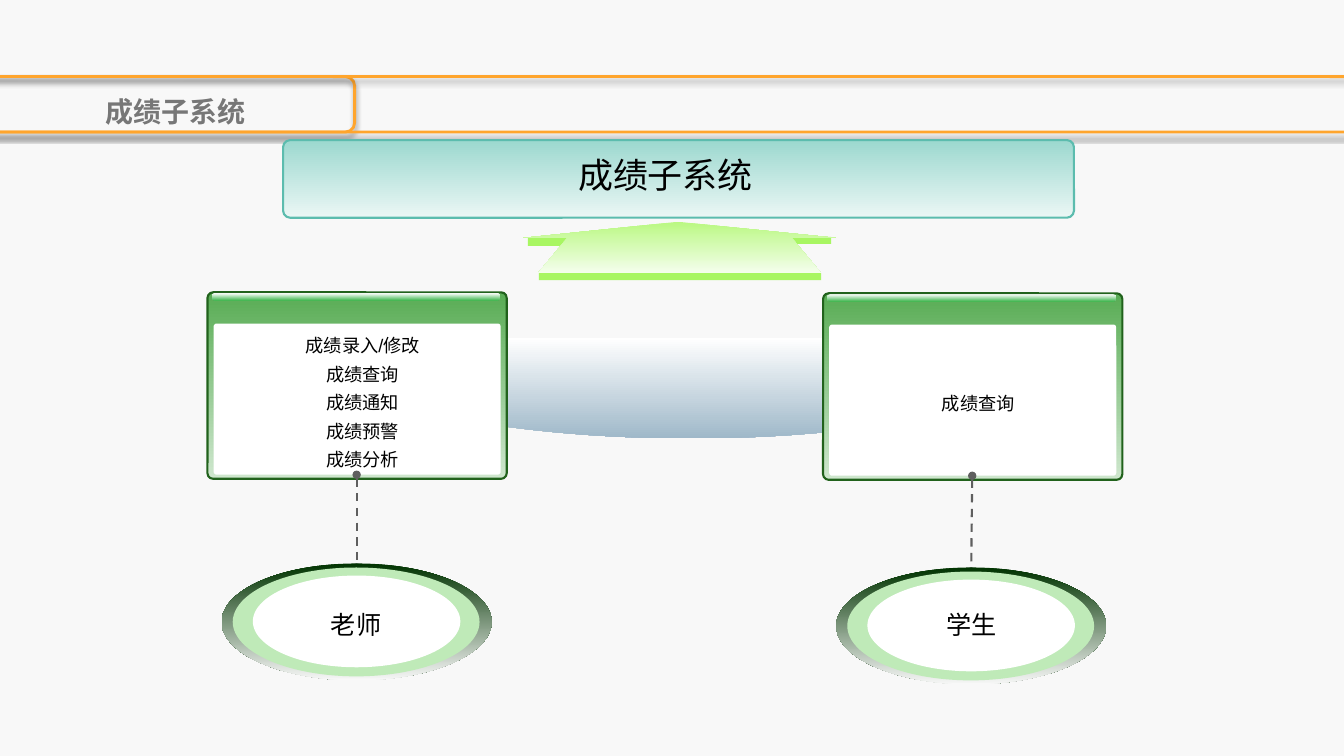
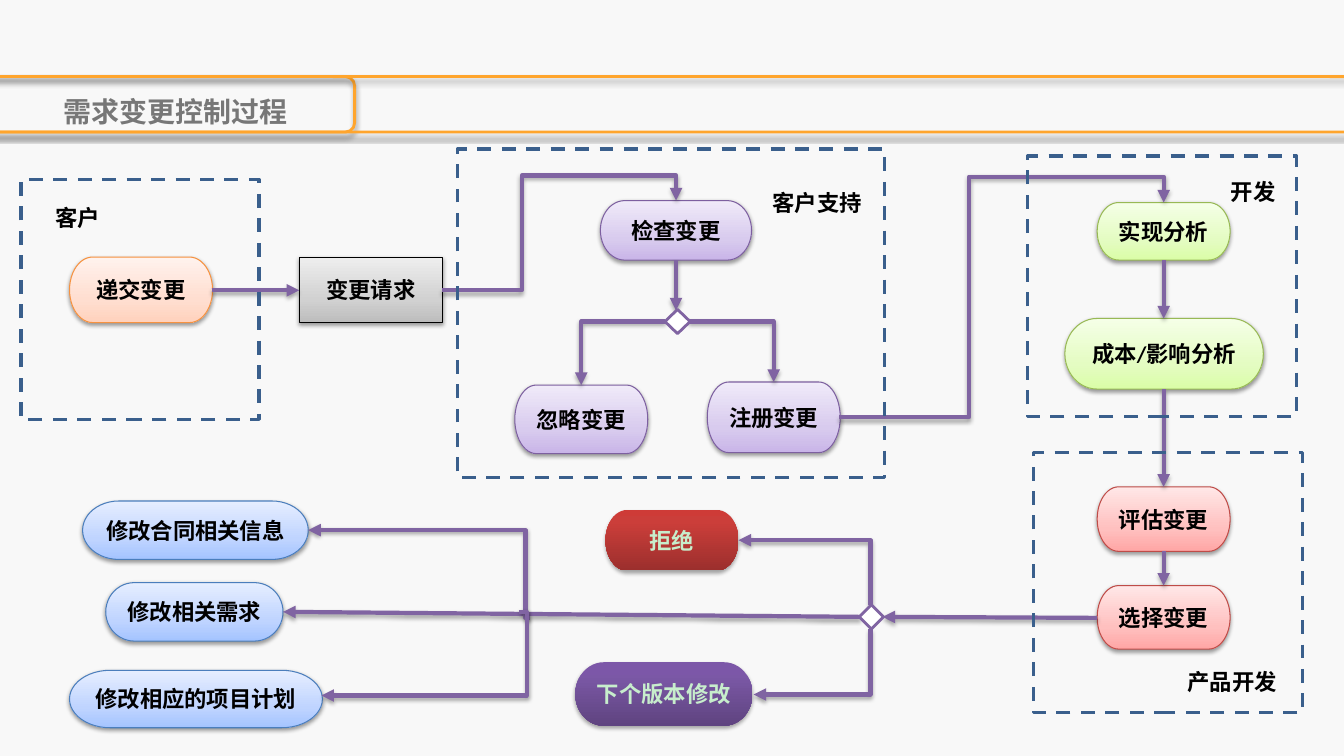
"""Build two slides: a grade subsystem diagram and a change control flow."""
from math import cos, pi, sin
from lxml import etree
from pptx import Presentation
from pptx.dml.color import RGBColor
from pptx.enum import dml, shapes, text
from pptx.oxml.ns import qn
from pptx.util import Inches, Pt

KIND = shapes.MSO_SHAPE
ROUND, OVAL, RECT = KIND.ROUNDED_RECTANGLE, KIND.OVAL, KIND.RECTANGLE
PILL, GEM, ALT = (KIND.FLOWCHART_TERMINATOR, KIND.FLOWCHART_DECISION,
                  KIND.FLOWCHART_ALTERNATE_PROCESS)
CJK = "Noto Sans CJK SC"
PAPER, INK, WHITE, LIME = "F8F8F8", "000000", "FFFFFF", "A8F662"
EDGE, DASH = ("FFA52D", 2), ("5F5F5F", 1.5, True)
WIRE, ZONE = ("8064A2", 3), ("3A5F8C", 2.5, True)
DEEP, SOFT, THIN = (40, 4, 3), (38, 3.1, 1.6), (35, 3.1, 1.8)
FRAMES = [(-0.26, 0.76, 3.78, 0.55), (-0.18, 0.76, 13.94, 0.55)]

TITLES = ["成绩子系统", "需求变更控制过程"]
CARDS = [
    ((2.06, 2.9), ["成绩录入/修改", "成绩查询", "成绩通知", "成绩预警", "成绩分析"], "Arial"),
    ((8.17, 2.91), ["成绩查询"], "Noto Sans CJK KR"),
]
ROLES = [((2.2, 5.59), 3.04, "老师"), ((8.3, 5.63), 9.15, "学生")]
DROPS = [((3.54, 4.71), (3.54, 5.63)), ((9.65, 4.72), (9.64, 5.67))]
RINGS = [
    (0, 0, 2.68, 1.16, [(0, "003300"), (100, PAPER)]),
    (0.11, 0.04, 2.45, 1.08, "BFEAB8"),
    (0.31, 0.12, 2.06, 0.91, WHITE),
]
BARS = [(7.81, 2.35, 0.44, 0.07), (5.35, 2.71, 2.8, 0.07), (5.24, 2.36, 0.46, 0.08)]
ARROW = [(6.73, 2.2), (5.19, 2.36), (5.63, 2.36), (5.34, 2.71),
         (8.15, 2.71), (7.86, 2.36), (8.3, 2.36)]
BOWL = [(6.85 + 3.89 * cos(pi * n / 60), 3.35 + sin(pi * n / 60)) for n in range(61)]


def tint(top, mid, low):
    return [(0, top), (65, mid), (100, low)]


STYLES = {
    "peach": (PILL, tint("FFF2ED", "FFDED0", "FFD2BD"), ("F69240", 0.75), SOFT, INK),
    "gray": (RECT, tint("EEEEEE", "D1D1D1", "BDBDBD"), (INK, 0.75), SOFT, INK),
    "lilac": (PILL, tint("F0EAF9", "D8CBEE", "C9B5E8"), ("7D60A0", 0.75), SOFT, INK),
    "green": (PILL, tint("F5FFE7", "E4FCC2", "DAFDA7"), ("98B955", 0.75), SOFT, INK),
    "pink": (PILL, tint("FFE7E7", "FFC0BF", "FFA6A5"), ("BF4C48", 0.75), SOFT, INK),
    "blue": (PILL, tint("E6EEFF", "BFD4FF", "A4C4FF"), ("4B7EBC", 0.75), SOFT, INK),
    "red": (PILL, [(0, "CE3B37"), (20, "CB3E3A"), (100, "9C2F2D")], None, THIN, "C7EDCC"),
    "plum": (PILL, [(0, "7C57A8"), (20, "7B58A6"), (100, "5F4480")], None, THIN, "C7EDCC"),
}
NODES = [
    ("递交变更", "peach", (0.69, 2.55, 1.42, 0.65)),
    ("变更请求", "gray", (2.97, 2.55, 1.42, 0.65)),
    ("检查变更", "lilac", (5.96, 1.99, 1.5, 0.59)),
    ("忽略变更", "lilac", (5.11, 3.82, 1.32, 0.68)),
    ("注册变更", "lilac", (7.02, 3.79, 1.32, 0.7)),
    ("实现分析", "green", (10.89, 2.01, 1.32, 0.57)),
    ("成本/影响分析", "green", (10.57, 3.16, 1.97, 0.7)),
    ("评估变更", "pink", (10.89, 4.83, 1.32, 0.64)),
    ("选择变更", "pink", (10.89, 5.81, 1.32, 0.63)),
    ("拒绝", "red", (6.01, 5.06, 1.32, 0.6)),
    ("下个版本修改", "plum", (5.71, 6.57, 1.76, 0.63)),
    ("修改合同相关信息", "blue", (0.82, 4.97, 2.24, 0.58)),
    ("修改相关需求", "blue", (1.05, 5.78, 1.76, 0.58)),
    ("修改相应的项目计划", "blue", (0.69, 6.65, 2.51, 0.57)),
]
GEMS = [(6.6, 3.07, 0.25, 0.24), (8.53, 6, 0.24, 0.24)]
TO, BACK = {"tail": "triangle"}, {"head": "triangle"}
LINKS = [
    ((2.1, 2.88), (2.97, 2.88), 1, (), TO),
    ((6.71, 2.58), (6.71, 3.08), 1, (), TO),
    ((6.6, 3.19), (5.77, 3.82), 2, (), TO),
    ((6.84, 3.19), (7.68, 3.79), 2, (), TO),
    ((11.55, 2.58), (11.55, 3.16), 1, (), TO),
    ((4.39, 2.88), (6.71, 1.99), 4, (0.34, 1.28), TO),
    ((8.33, 4.14), (11.55, 2.01), 4, (0.4, 1.12), TO),
    ((11.55, 3.86), (11.55, 4.83), 1, (), TO),
    ((11.55, 5.47), (11.55, 5.81), 1, (), TO),
    ((10.89, 6.13), (8.76, 6.12), 1, (), TO),
    ((7.33, 5.36), (8.64, 6), 2, (), BACK),
    ((7.48, 6.89), (8.64, 6.24), 2, (), BACK),
    ((8.53, 6.12), (2.81, 6.07), 1, (), TO),
    ((5.26, 6.13), (3.06, 5.26), 3, (0.02,), TO),
    ((5.15, 6.07), (3.19, 6.9), 3, (-0.04,), TO),
]
ZONES = [
    ("客户", (0.21, 1.78, 2.36, 2.38), (0.45, 1.98, 0.84, 0.37)),
    ("客户支持", (4.54, 1.48, 4.24, 3.26), (7.57, 1.83, 1.2, 0.37)),
    ("开发", (10.2, 1.55, 2.67, 2.58), (12.12, 1.72, 1.2, 0.37)),
    ("产品开发", (10.26, 4.49, 2.67, 2.58), (11.69, 6.58, 1.2, 0.37)),
]


def rgb(code):
    return RGBColor.from_string(code)


def sub(node, tag, **attrs):
    return etree.SubElement(node, qn("a:" + tag), {k: str(v) for k, v in attrs.items()})


def stroke(item, line):
    code, size, *dash = line
    item.line.color.rgb = rgb(code)
    item.line.width = Pt(size)
    if dash:
        item.line.dash_style = dml.MSO_LINE.DASH


def shade(item, shadow):
    effect = sub(item._element.spPr, "effectLst")
    if shadow:
        alpha, blur, dist = shadow
        outer = sub(effect, "outerShdw", blurRad=Pt(blur), dist=Pt(dist),
                    dir=5400000, rotWithShape=0)
        sub(sub(outer, "srgbClr", val=INK), "alpha", val=alpha * 1000)


def paint(item, fill=None, line=None, shadow=None):
    if fill is None:
        item.fill.background()
    elif isinstance(fill, str):
        item.fill.solid()
        item.fill.fore_color.rgb = rgb(fill)
    else:
        item.fill.gradient()
        item.fill.gradient_angle = 270
        stops = item._element.spPr.find(".//" + qn("a:gsLst"))
        stops.clear()
        for pos, code in fill:
            sub(sub(stops, "gs", pos=pos * 1000), "srgbClr", val=code)
    if line:
        stroke(item, line)
    else:
        item.line.fill.background()
    shade(item, shadow)
    return item


def block(slide, kind, box, fill=None, line=None, shadow=None, adj=None):
    item = slide.shapes.add_shape(kind, *map(Inches, box))
    if adj is not None:
        item.adjustments[0] = adj
    return paint(item, fill, line, shadow)


def outline(slide, points, fill):
    dots = [(Inches(x), Inches(y)) for x, y in points]
    form = slide.shapes.build_freeform(*dots[0], scale=1.0)
    form.add_line_segments(dots[1:], close=True)
    return paint(form.convert_to_shape(), fill)


def write(item, lines, size, face, color=INK, bold=False, gap=None,
          align=text.PP_ALIGN.CENTER, **frame):
    body = item.text_frame
    base = {"word_wrap": True, "vertical_anchor": text.MSO_ANCHOR.MIDDLE}
    for key, val in {**base, **frame}.items():
        setattr(body, key, val)
    for n, words in enumerate(lines):
        para = body.add_paragraph() if n else body.paragraphs[0]
        para.alignment = align
        if gap:
            para.line_spacing = gap
        run = para.add_run()
        run.text = words
        for key, val in {"size": Pt(size), "name": face, "bold": bold}.items():
            setattr(run.font, key, val)
        run.font.color.rgb = rgb(color)
        sub(run.font._element, "ea", typeface=face if "CJK" in face else CJK)


def label(slide, box, words, size, face, **style):
    write(slide.shapes.add_textbox(*map(Inches, box)), [words], size, face, **style)


def link(slide, start, end, line, bend=1, adj=(), shadow=None, **tips):
    kind = shapes.MSO_CONNECTOR.STRAIGHT if bend == 1 else shapes.MSO_CONNECTOR.ELBOW
    item = slide.shapes.add_connector(kind, *map(Inches, start + end))
    if bend > 1:
        geom = item._element.spPr.find(qn("a:prstGeom"))
        geom.set("prst", f"bentConnector{bend}")
        guides = geom.find(qn("a:avLst"))
        for n, val in enumerate(adj, 1):
            sub(guides, "gd", name=f"adj{n}", fmla=f"val {round(val * 100000)}")
    stroke(item, line)
    edge = item._element.spPr.find(qn("a:ln"))
    for end in ("head", "tail"):
        if end in tips:
            sub(edge, end + "End", type=tips[end])
    shade(item, shadow)


def start(deck, title):
    slide = deck.slides.add_slide(deck.slide_layouts[6])
    for box in FRAMES:
        block(slide, ALT, box, None, EDGE, DEEP)
    write(block(slide, ALT, (0.21, 0.76, 3.06, 0.6)), [title], 20, CJK, "777777", True,
          1.3, vertical_anchor=text.MSO_ANCHOR.TOP)
    return slide


def grades(slide):
    outline(slide, BOWL, [(0, WHITE), (100, "9FB8C9")])
    for (x, y), lines, face in CARDS:
        block(slide, ROUND, (x, y, 2.97, 1.85), [(0, "58AC54"), (100, "CFE7CE")],
              ("21621C", 1.5), adj=0.03)
        block(slide, ROUND, (x + 0.04, y + 0.01, 2.87, 0.07),
              [(0, WHITE), (100, "46B854")], adj=0.5)
        body = block(slide, ROUND, (x + 0.06, y + 0.31, 2.85, 1.5), WHITE, adj=0.02)
        write(body, lines, 13, face, gap=1.3, margin_left=Inches(0.15),
              margin_right=Inches(0.04), margin_top=Inches(0.04),
              margin_bottom=Inches(0.04))
    for top, low in DROPS:
        link(slide, top, low, DASH, head="oval", tail="oval")
    for box in BARS:
        block(slide, RECT, box, LIME)
    outline(slide, ARROW, [(0, "BAF882"), (100, "F4FEEC")])
    for (x, y), left, role in ROLES:
        for dx, dy, wide, high, fill in RINGS:
            block(slide, OVAL, (x + dx, y + dy, wide, high), fill)
        write(block(slide, OVAL, (left, 5.91, 0.99, 0.57)), [role], 18, "Arial",
              word_wrap=False)
    block(slide, ROUND, (2.81, 1.39, 7.85, 0.77), [(0, "9CD8CF"), (100, "EBF7F5")],
          ("5CBCAE", 1.5), adj=0.09)
    label(slide, (3.6, 1.47, 6.01, 0.52), TITLES[0], 25, CJK)


def changes(slide):
    for words, name, box in NODES:
        kind, fill, line, shadow, color = STYLES[name]
        write(block(slide, kind, box, fill, line, shadow), [words], 16, "Calibri",
              color, True)
    for head, tail, bend, adj, tips in LINKS:
        link(slide, head, tail, WIRE, bend, adj, THIN, **tips)
    for box in GEMS:
        block(slide, GEM, box, WHITE, ("8064A2", 2))
    for words, box, spot in ZONES:
        block(slide, RECT, box, None, ZONE)
        label(slide, spot, words, 16, "Calibri", bold=True, align=text.PP_ALIGN.LEFT,
              vertical_anchor=text.MSO_ANCHOR.TOP)


def main():
    deck = Presentation()
    deck.slide_width, deck.slide_height = Inches(13.34), Inches(7.5)
    back = deck.slide_master.background.fill
    back.solid()
    back.fore_color.rgb = rgb(PAPER)
    for title, draw in zip(TITLES, (grades, changes)):
        draw(start(deck, title))
    deck.save("out.pptx")


if __name__ == "__main__":
    main()
